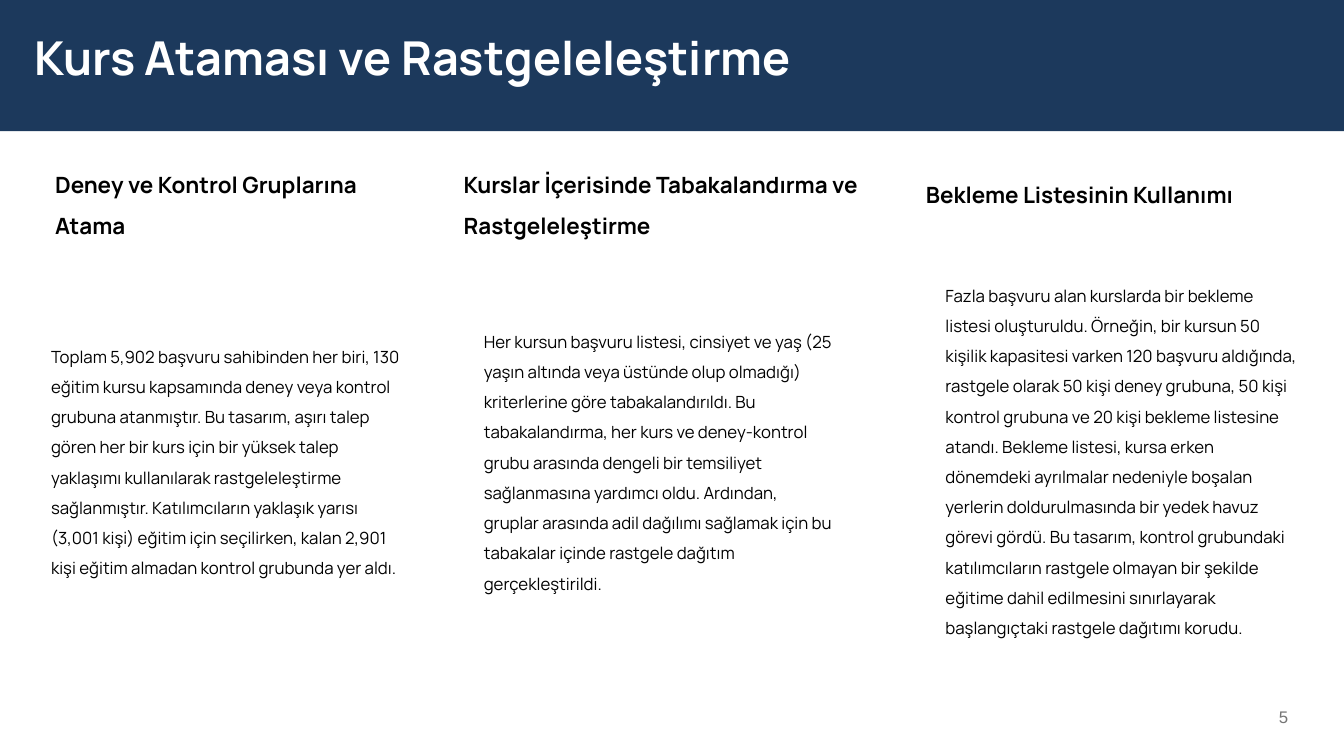
from dataclasses import dataclass

from pptx import Presentation
from pptx.dml.color import RGBColor
from pptx.enum.shapes import MSO_SHAPE as Shape
from pptx.enum.text import MSO_ANCHOR as Anchor, MSO_AUTO_SIZE as Fit, PP_ALIGN as Align
from pptx.util import Inches, Pt


@dataclass(frozen=True)
class Theme:
    """Colours, fonts and type sizes of the slide."""
    navy: str = "1C395C"
    white: str = "FFFFFF"
    black: str = "000000"
    grey: str = "757575"
    font: str = "Manrope"
    plain: str = "Arial"
    title: int = 50
    head: int = 24
    body: int = 18


THEME = Theme()
PAD = (0.15, 0.07)

COLUMNS = [
    ((0.67, 2.28, 5.27, 1.16), "Deney ve Kontrol Gruplarına Atama",
     (0.31, 3.48, 6.14, 6.65),
     "Toplam 5,902 başvuru sahibinden her biri, 130 eğitim kursu kapsamında deney "
     "veya kontrol grubuna atanmıştır. Bu tasarım, aşırı talep gören her bir kurs "
     "için bir yüksek talep yaklaşımı kullanılarak rastgeleleştirme sağlanmıştır. "
     "Katılımcıların yaklaşık yarısı (3,001 kişi) eğitim için seçilirken, kalan "
     "2,901 kişi eğitim almadan kontrol grubunda yer aldı."),
    ((6.75, 2.28, 6.5, 1.16), "Kurslar İçerisinde Tabakalandırma ve Rastgeleleştirme",
     (6.75, 3.48, 6.14, 6.65),
     "Her kursun başvuru listesi, cinsiyet ve yaş (25 yaşın altında veya üstünde "
     "olup olmadığı) kriterlerine göre tabakalandırıldı. Bu tabakalandırma, her "
     "kurs ve deney-kontrol grubu arasında dengeli bir temsiliyet sağlanmasına "
     "yardımcı oldu. Ardından, gruplar arasında adil dağılımı sağlamak için bu "
     "tabakalar içinde rastgele dağıtım gerçekleştirildi."),
    ((13.63, 2.43, 6.13, 0.56), "Bekleme Listesinin Kullanımı",
     (13.62, 3.47, 6.14, 6.65),
     "Fazla başvuru alan kurslarda bir bekleme listesi oluşturuldu. Örneğin, bir "
     "kursun 50 kişilik kapasitesi varken 120 başvuru aldığında, rastgele olarak "
     "50 kişi deney grubuna, 50 kişi kontrol grubuna ve 20 kişi bekleme listesine "
     "atandı. Bekleme listesi, kursa erken dönemdeki ayrılmalar nedeniyle boşalan "
     "yerlerin doldurulmasında bir yedek havuz görevi gördü. Bu tasarım, kontrol "
     "grubundaki katılımcıların rastgele olmayan bir şekilde eğitime dahil "
     "edilmesini sınırlayarak başlangıçtaki rastgele dağıtımı korudu."),
]


def set_text(shape, text, size, color, font=THEME.font, bold=False, pad=PAD,
             anchor=Anchor.TOP, align=Align.LEFT, line=None, after=None):
    """Write one styled paragraph into a shape and return its frame."""
    frame = shape.text_frame
    frame.text = text
    frame.word_wrap = True
    frame.vertical_anchor = anchor
    frame.margin_left = frame.margin_right = Inches(pad[0])
    frame.margin_top = frame.margin_bottom = Inches(pad[1])
    para = frame.paragraphs[0]
    para.alignment = align
    if line:
        para.line_spacing = line
    if after:
        para.space_after = Pt(after)
    style = para.runs[0].font
    style.name, style.size, style.bold = font, Pt(size), bold
    style.color.rgb = RGBColor.from_string(color)
    return frame


def add_box(slide, kind, box, fill=None):
    """Add a lineless preset shape, filled only when a colour is given."""
    shape = slide.shapes.add_shape(kind, *map(Inches, box))
    shape.shadow.inherit = False
    shape.line.fill.background()
    if fill:
        shape.fill.solid()
        shape.fill.fore_color.rgb = RGBColor.from_string(fill)
    else:
        shape.fill.background()
    return shape


def add_label(slide, box):
    """Add an empty text box."""
    return slide.shapes.add_textbox(*map(Inches, box))


def add_banner(slide, box, title):
    """Draw the title band with its title."""
    left, top, wide, _ = box
    add_box(slide, Shape.RECTANGLE, box, THEME.navy)
    label = add_label(slide, (left + 0.32, top + 0.32, wide - 5.99, 1.16))
    frame = set_text(label, title, THEME.title, THEME.white, bold=True,
                     pad=(0.2, 0.2), line=0.9)
    frame.auto_size = Fit.SHAPE_TO_FIT_TEXT


def add_column(slide, top_box, head, box, body):
    """Draw one column: a bold heading above a centred body."""
    panel = add_box(slide, Shape.ROUNDED_RECTANGLE, box)
    set_text(panel, body, THEME.body, THEME.black, anchor=Anchor.MIDDLE,
             line=1.5, after=10)
    frame = set_text(add_label(slide, top_box), head, THEME.head, THEME.black,
                     bold=True, line=1.5, after=10)
    frame.auto_size = Fit.SHAPE_TO_FIT_TEXT


def add_number(slide, box, number):
    """Write the page number at the right of its box."""
    set_text(add_label(slide, box), number, THEME.body, THEME.grey,
             font=THEME.plain, anchor=Anchor.MIDDLE, align=Align.RIGHT)


def main():
    """Build and save the slide."""
    deck = Presentation()
    deck.slide_width, deck.slide_height = Inches(20), Inches(11.25)
    slide = deck.slides.add_slide(deck.slide_layouts[6])
    add_banner(slide, (0, 0, 20, 1.95), "Kurs Ataması ve Rastgeleleştirme")
    for column in COLUMNS:
        add_column(slide, *column)
    add_number(slide, (14.82, 10.36, 4.5, 0.6), "5")
    deck.save("out.pptx")


if __name__ == "__main__":
    main()
